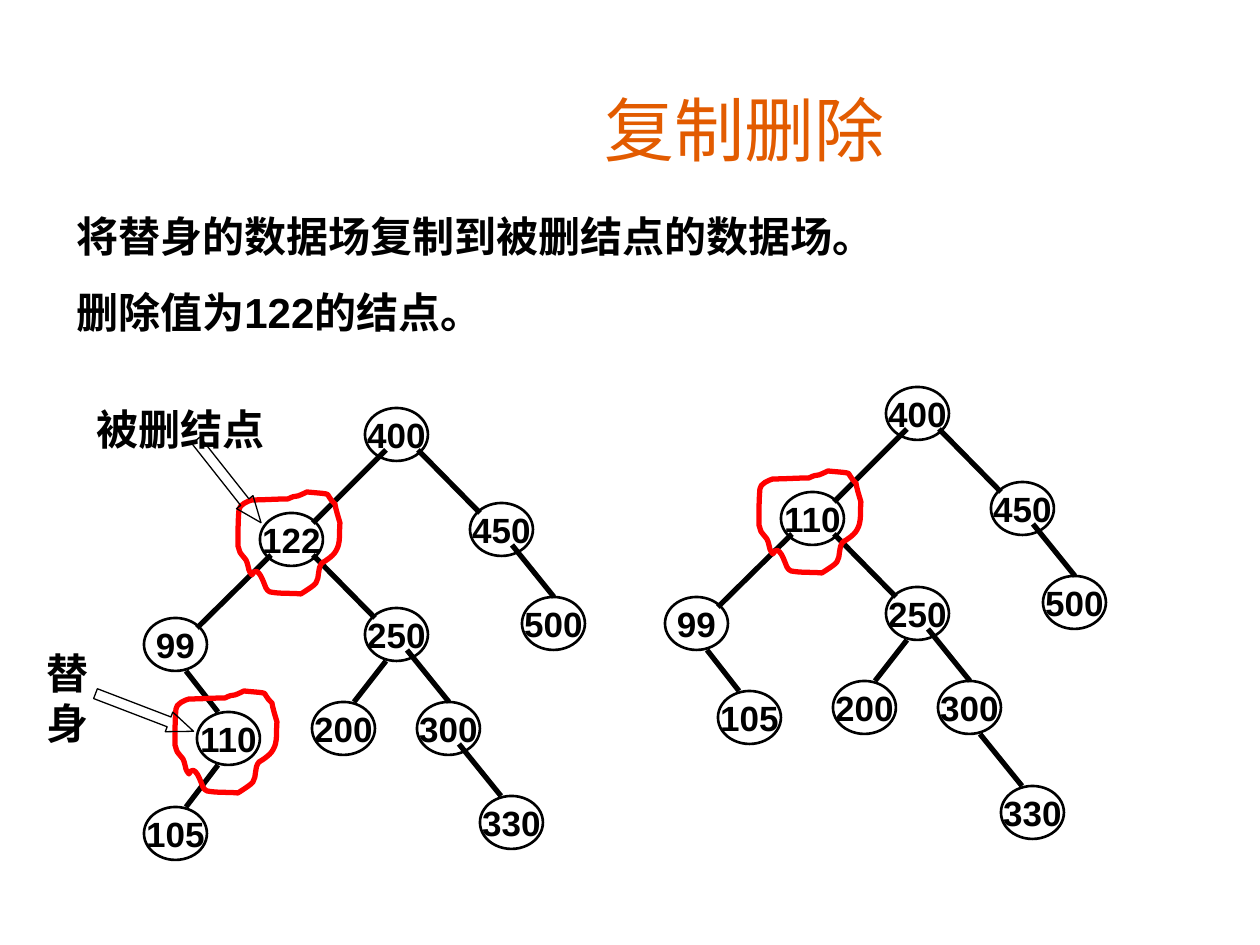
import pptx
import pptx.dml.color
import pptx.enum.shapes
import pptx.enum.text
import pptx.oxml
import pptx.oxml.ns
import pptx.util

SCALE = 914400 / 126
BLACK = pptx.dml.color.RGBColor(0x00, 0x00, 0x00)
RED = pptx.dml.color.RGBColor(0xFF, 0x00, 0x00)
ORANGE = pptx.dml.color.RGBColor(0xE2, 0x5B, 0x00)

NODE_WIDTH, NODE_HEIGHT = 63, 53
RING_LEFT, RING_TOP = -22, -21

BODY_FONT = {"name": "Arial", "size": pptx.util.Pt(24), "bold": True}
NODE_FONT = {"name": "Arial", "size": pptx.util.Pt(20), "bold": True}
TITLE_FONT = {"name": "Comic Neue", "size": pptx.util.Pt(40), "bold": False}

RING_START = (14, 83)
RING_CURVES = [
    (13, 81, 11, 80, 11, 78), (10, 75, 10, 72, 8, 68), (0, 58, 3, 63, 0, 54),
    (0, 42, 0, 29, 1, 18), (1, 13, 10, 9, 14, 8), (26, 8, 38, 7, 50, 7),
    (54, 5, 57, 4, 60, 4), (63, 3, 69, 0, 69, 0), (100, 3, 84, 0, 97, 12),
    (98, 18, 100, 24, 102, 31), (101, 41, 103, 51, 98, 59),
    (95, 65, 84, 71, 84, 71), (79, 77, 82, 85, 78, 91),
    (76, 94, 66, 100, 63, 102), (53, 101, 42, 102, 32, 100),
    (30, 100, 29, 97, 28, 96), (26, 92, 20, 71, 14, 83),
]

EDGE_ENDS = {
    "root left": (21, 42, 53, 10),
    "left": (11, 42, 53, 10),
    "right": (53, 42, 10, 10),
    "steep left": (21, 53, 42, 0),
    "steep right": (42, 42, 32, 0),
    "low right": (42, 42, 21, 0),
    "inner right": (42, 53, 21, 0),
}

SHARED_NODES = {
    "400": (0, 0), "450": (105, 95), "500": (157, 189), "250": (0, 200),
    "200": (-53, 294), "300": (52, 294), "99": (-221, 210),
}
SHARED_EDGES = [
    ("400", "450", "right"), ("450", "500", "steep right"),
    ("250", "200", "steep left"), ("250", "300", "steep right"),
]
BEFORE = {
    "root": (365, 408),
    "target": "122",
    "nodes": {"122": (-105, 105), "110": (-168, 304), "105": (-221, 399), "330": (115, 388)},
    "edges": [("99", "110", "inner right"), ("110", "105", "steep left"),
              ("300", "330", "low right")],
    "rings": ["122", "110"],
}
AFTER = {
    "root": (886, 387),
    "target": "110",
    "nodes": {"110": (-105, 105), "105": (-168, 304), "330": (115, 399)},
    "edges": [("99", "105", "inner right"), ("300", "330", "inner right")],
    "rings": ["110"],
}


def emu(pixels):
    return pptx.util.Emu(round(pixels * SCALE))


class TreeSlide:
    def __init__(self, presentation):
        self.slide = presentation.slides.add_slide(presentation.slide_layouts[6])
        self.shapes = self.slide.shapes

    def style_font(self, font, values, color=BLACK):
        for name, value in values.items():
            setattr(font, name, value)
        font.color.rgb = color

    def outline(self, shape, color, width):
        shape.shadow.inherit = False
        shape.fill.background()
        shape.line.color.rgb = color
        shape.line.width = pptx.util.Pt(width)

    def text(self, box, lines, font=BODY_FONT, color=BLACK, centered=False):
        frame = self.shapes.add_textbox(*map(emu, box)).text_frame
        frame.word_wrap = True
        if centered:
            frame.vertical_anchor = pptx.enum.text.MSO_ANCHOR.MIDDLE
        for index, line in enumerate(lines):
            paragraph = frame.add_paragraph() if index else frame.paragraphs[0]
            paragraph.text = line
            if index:
                paragraph.space_before = pptx.util.Pt(15)
            if centered:
                paragraph.alignment = pptx.enum.text.PP_ALIGN.CENTER
            self.style_font(paragraph.runs[0].font, font, color)

    def node(self, left, top, value):
        shape = self.shapes.add_shape(pptx.enum.shapes.MSO_SHAPE.OVAL,
                                      *map(emu, (left, top, NODE_WIDTH, NODE_HEIGHT)))
        self.outline(shape, BLACK, 1.5)
        frame = shape.text_frame
        frame.word_wrap = False
        frame.vertical_anchor = pptx.enum.text.MSO_ANCHOR.MIDDLE
        paragraph = frame.paragraphs[0]
        paragraph.text = value
        paragraph.alignment = pptx.enum.text.PP_ALIGN.CENTER
        self.style_font(paragraph.runs[0].font, NODE_FONT)

    def edge(self, parent, child, kind):
        start_x, start_y, end_x, end_y = EDGE_ENDS[kind]
        ends = (parent[0] + start_x, parent[1] + start_y, child[0] + end_x, child[1] + end_y)
        line = self.shapes.add_connector(pptx.enum.shapes.MSO_CONNECTOR.STRAIGHT, *map(emu, ends))
        line.line.color.rgb = BLACK
        line.line.width = pptx.util.Pt(3)
        properties = line._element.spPr
        properties.append(pptx.oxml.parse_xml(
            "<a:effectLst %s/>" % pptx.oxml.ns.nsdecls("a")))

    def ring(self, left, top):
        builder = self.shapes.build_freeform(*RING_START, scale=SCALE)
        builder.add_line_segments([curve[4:] for curve in RING_CURVES], close=True)
        shape = builder.convert_to_shape(emu(left + RING_LEFT), emu(top + RING_TOP))
        segments = list(shape._element.iter(pptx.oxml.ns.qn("a:lnTo")))
        for segment, curve in zip(segments, RING_CURVES):
            points = "".join('<a:pt x="%d" y="%d"/>' % curve[start:start + 2]
                             for start in (0, 2, 4))
            bezier = pptx.oxml.parse_xml("<a:cubicBezTo %s>%s</a:cubicBezTo>" % (
                pptx.oxml.ns.nsdecls("a"), points))
            segment.getparent().replace(segment, bezier)
        self.outline(shape, RED, 3)

    def arrow(self, left, top, rotation):
        shape = self.shapes.add_shape(pptx.enum.shapes.MSO_SHAPE.RIGHT_ARROW,
                                      *map(emu, (left, top, 105, 21)))
        shape.adjustments[0] = 0.5
        shape.adjustments[1] = 1.25
        shape.rotation = rotation
        self.outline(shape, BLACK, 0.75)

    def tree(self, root, target, nodes, edges, rings):
        places = {value: (root[0] + x, root[1] + y)
                  for value, (x, y) in {**SHARED_NODES, **nodes}.items()}
        target_edges = [("400", target, "root left"), (target, "99", "left"),
                        (target, "250", "right")]
        for parent, child, kind in SHARED_EDGES + target_edges + edges:
            self.edge(places[parent], places[child], kind)
        for value, place in places.items():
            self.node(*place, value)
        for value in rings:
            self.ring(*places[value])


def main():
    presentation = pptx.Presentation()
    presentation.slide_width = emu(1260)
    presentation.slide_height = emu(945)
    slide = TreeSlide(presentation)
    slide.text((184, 82, 1121, 93), ["复制删除"], TITLE_FONT, ORANGE, centered=True)
    slide.tree(**BEFORE)
    slide.arrow(176, 471, 51.7)
    slide.text((84, 397, 218, 63), ["被删结点"])
    slide.arrow(92, 702, 21)
    slide.text((34, 641, 95, 113), ["替身"])
    slide.tree(**AFTER)
    slide.text((64, 204, 1144, 140),
               ["将替身的数据场复制到被删结点的数据场。", "删除值为122的结点。"])
    presentation.save("out.pptx")


if __name__ == "__main__":
    main()
